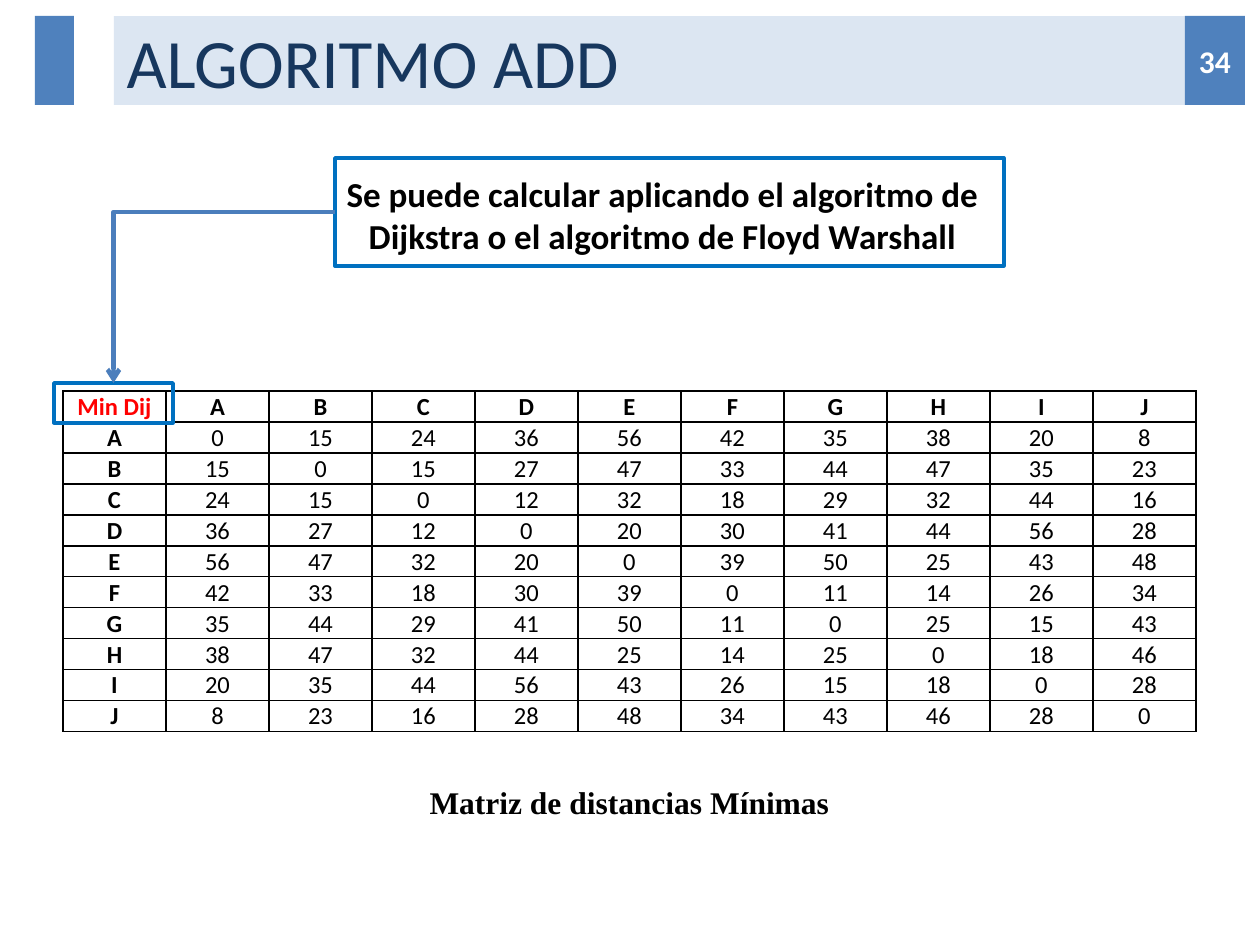
from dataclasses import dataclass

from lxml import etree
from pptx import Presentation
from pptx.dml.color import RGBColor
from pptx.enum.shapes import MSO_CONNECTOR, MSO_SHAPE
from pptx.enum.text import MSO_ANCHOR, MSO_AUTO_SIZE, PP_ALIGN
from pptx.oxml.ns import qn
from pptx.util import Emu, Pt

ELBOW = MSO_CONNECTOR.ELBOW
RECTANGLE = MSO_SHAPE.RECTANGLE
MIDDLE = MSO_ANCHOR.MIDDLE
TOP = MSO_ANCHOR.TOP
NO_AUTOFIT = MSO_AUTO_SIZE.NONE
LEFT, CENTER = PP_ALIGN.LEFT, PP_ALIGN.CENTER
TOP_SIDE, LEFT_SIDE = 0, 1
TITLE_ONLY = 5
PX_PER_INCH = 126

NODES = "ABCDEFGHIJ"
DISTANCES = [
    [0, 15, 24, 36, 56, 42, 35, 38, 20, 8],
    [15, 0, 15, 27, 47, 33, 44, 47, 35, 23],
    [24, 15, 0, 12, 32, 18, 29, 32, 44, 16],
    [36, 27, 12, 0, 20, 30, 41, 44, 56, 28],
    [56, 47, 32, 20, 0, 39, 50, 25, 43, 48],
    [42, 33, 18, 30, 39, 0, 11, 14, 26, 34],
    [35, 44, 29, 41, 50, 11, 0, 25, 15, 43],
    [38, 47, 32, 44, 25, 14, 25, 0, 18, 46],
    [20, 35, 44, 56, 43, 26, 15, 18, 0, 28],
    [8, 23, 16, 28, 48, 34, 43, 46, 28, 0],
]


@dataclass(frozen=True)
class Theme:
    font: str = "Calibri"
    caption_font: str = "Times New Roman"
    text: str = "000000"
    title: str = "17375E"
    band: str = "DCE6F2"
    accent: str = "4F81BD"
    inverse: str = "FFFFFF"
    frame: str = "0070C0"
    arrow: str = "4B7EBC"
    highlight: str = "FF0000"
    title_size: float = 39.6
    callout_size: int = 20
    label_size: int = 18
    cell_size: int = 14
    frame_width: int = 2
    arrow_width: float = 2.5
    border_width: int = 1


def px(length):
    return Emu(round(length * 914400 / PX_PER_INCH))


class SlideBuilder:
    """Draws themed elements on one slide."""

    def __init__(self, presentation, theme):
        self.theme = theme
        self.slide = presentation.slides.add_slide(presentation.slide_layouts[TITLE_ONLY])

    def set_text(self, text_frame, text, size, color, bold=True, align=CENTER, font=None):
        text_frame.text = text
        paragraph = text_frame.paragraphs[0]
        paragraph.alignment = align
        run_font = paragraph.runs[0].font
        run_font.name = font or self.theme.font
        run_font.size = Pt(size)
        run_font.bold = bold
        run_font.color.rgb = RGBColor.from_string(color)

    def title(self, text, left, top, width, height):
        shape = self.slide.shapes.title
        shape.left, shape.top, shape.width, shape.height = map(px, (left, top, width, height))
        shape.fill.solid()
        shape.fill.fore_color.rgb = RGBColor.from_string(self.theme.band)
        shape.text_frame.auto_size = NO_AUTOFIT
        shape.text_frame.vertical_anchor = MIDDLE
        self.set_text(shape.text_frame, text, self.theme.title_size, self.theme.title, False, LEFT)

    def rectangle(self, left, top, width, height):
        shape = self.slide.shapes.add_shape(RECTANGLE, *map(px, (left, top, width, height)))
        shape.shadow.inherit = False
        return shape

    def block(self, left, top, width, height, text=""):
        shape = self.rectangle(left, top, width, height)
        shape.fill.solid()
        shape.fill.fore_color.rgb = RGBColor.from_string(self.theme.accent)
        shape.line.fill.background()
        if text:
            text_frame = shape.text_frame
            text_frame.margin_left = text_frame.margin_right = 0
            text_frame.vertical_anchor = MIDDLE
            self.set_text(text_frame, text, self.theme.label_size, self.theme.inverse)

    def frame(self, left, top, width, height):
        shape = self.rectangle(left, top, width, height)
        shape.fill.background()
        shape.line.color.rgb = RGBColor.from_string(self.theme.frame)
        shape.line.width = Pt(self.theme.frame_width)
        return shape

    def text(self, text, left, top, width, height, size, anchor=TOP, font=None):
        box = self.slide.shapes.add_textbox(*map(px, (left, top, width, height)))
        box.text_frame.word_wrap = True
        box.text_frame.vertical_anchor = anchor
        self.set_text(box.text_frame, text, size, self.theme.text, font=font)

    def elbow_arrow(self, source, target):
        connector = self.slide.shapes.add_connector(ELBOW, 0, 0, 0, 0)
        connector.begin_connect(source, LEFT_SIDE)
        connector.end_connect(target, TOP_SIDE)
        connector.line.color.rgb = RGBColor.from_string(self.theme.arrow)
        connector.line.width = Pt(self.theme.arrow_width)
        properties = connector._element.spPr
        properties.find(qn("a:prstGeom")).set("prst", "bentConnector2")
        etree.SubElement(properties.find(qn("a:ln")), qn("a:tailEnd"), type="arrow")
        etree.SubElement(properties, qn("a:effectLst"))

    def borders(self, cell):
        properties = cell._tc.get_or_add_tcPr()
        for side in ("lnL", "lnR", "lnT", "lnB"):
            line = etree.SubElement(properties, qn(f"a:{side}"), w=str(Pt(self.theme.border_width)))
            fill = etree.SubElement(line, qn("a:solidFill"))
            etree.SubElement(fill, qn("a:srgbClr"), val=self.theme.text)

    def matrix(self, corner, names, values, left, top, column_width, row_height):
        rows = [[corner, *names]] + [[name, *row] for name, row in zip(names, values)]
        count = len(rows)
        size = (column_width * count, row_height * count)
        table = self.slide.shapes.add_table(count, count, *map(px, (left, top, *size))).table
        table.first_row = table.horz_banding = False
        for column in table.columns:
            column.width = px(column_width)
        for row_index, row in enumerate(rows):
            table.rows[row_index].height = px(row_height)
            for column_index, value in enumerate(row):
                cell = table.cell(row_index, column_index)
                self.borders(cell)
                cell.fill.background()
                cell.margin_left = cell.margin_right = cell.margin_top = px(1)
                cell.margin_bottom = 0
                cell.vertical_anchor = MIDDLE
                color = self.theme.highlight if value == corner else self.theme.text
                is_header = row_index == 0 or column_index == 0
                self.set_text(cell.text_frame, str(value), self.theme.cell_size, color, is_header)


def main():
    presentation = Presentation()
    presentation.slide_width, presentation.slide_height = px(1260), px(945)
    theme = Theme()
    builder = SlideBuilder(presentation, theme)

    builder.title("ALGORITMO ADD", 114, 16, 1112, 89)
    builder.block(35, 16, 39, 89)
    builder.block(1185, 16, 60, 89, "34")
    builder.text(
        "Se puede calcular aplicando el algoritmo de Dijkstra o el algoritmo de Floyd Warshall",
        291, 155, 743, 118, theme.callout_size, MIDDLE)
    builder.matrix("Min Dij", NODES, DISTANCES, 63, 391, 103, 31)
    callout = builder.frame(335, 158, 669, 108)
    corner = builder.frame(54, 383, 119, 40)
    builder.elbow_arrow(callout, corner)
    builder.text("Matriz de distancias Mínimas", 88, 777, 1083, 50,
                 theme.label_size, font=theme.caption_font)

    presentation.save("out.pptx")


if __name__ == "__main__":
    main()
